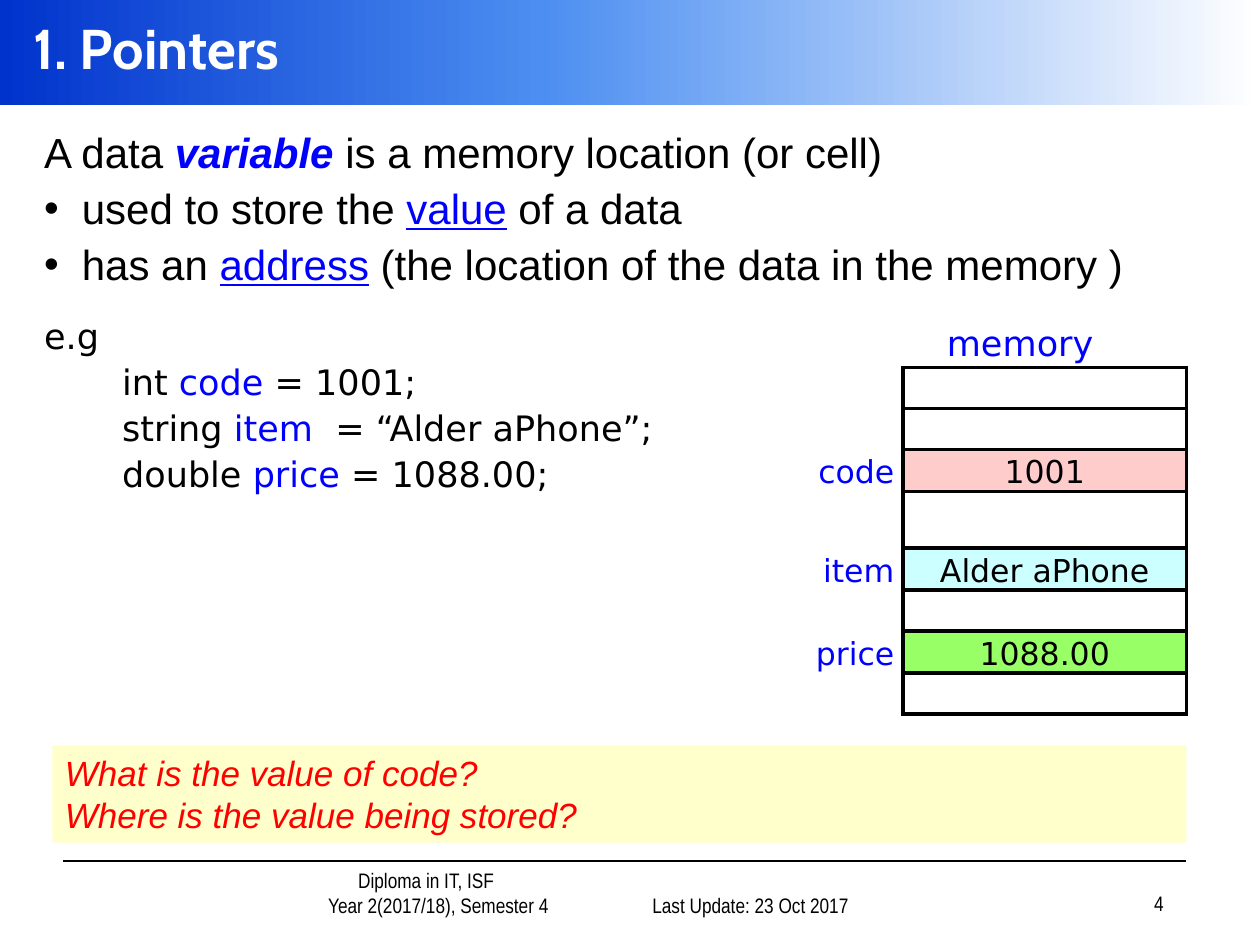
import copy

import pptx
import pptx.dml.color
import pptx.enum.shapes
import pptx.enum.text
import pptx.oxml
import pptx.oxml.ns
import pptx.util

Pt = pptx.util.Pt
ALIGN = pptx.enum.text.PP_ALIGN
ANCHOR = pptx.enum.text.MSO_ANCHOR
RECT = pptx.enum.shapes.MSO_SHAPE.RECTANGLE
BLACK, WHITE, BLUE, RED = "000000", "FFFFFF", "0000FF", "FF0000"
SANS, MONO_LABEL, NARROW = "Arial", "DejaVu Sans", "Arial Narrow"


def rgb(value):
    return pptx.dml.color.RGBColor.from_string(value)


def xml(tag, attrs="", inner=""):
    ns = pptx.oxml.ns.nsdecls("a")
    return pptx.oxml.parse_xml(f"<a:{tag} {ns} {attrs}>{inner}</a:{tag}>")


def add_text(p, text, font=SANS, size=20, color=BLACK, bold=False, italic=False,
             underline=False):
    r = p.add_run()
    r.text = text
    f = r.font
    f.name, f.size, f.color.rgb = font, Pt(size), rgb(color)
    f.bold, f.italic, f.underline = bold, italic, underline


def format_paragraph(p, align=ALIGN.LEFT, spacing=None, before=0, left=0, bullet=None):
    p.alignment, p.line_spacing, p.space_before = align, spacing, Pt(before)
    pPr = p._p.get_or_add_pPr()
    pPr.set("marL", str(Pt(left)))
    pPr.set("indent", str(-Pt(left) if bullet else 0))
    pPr.append(xml("buChar", f'char="{bullet}"') if bullet else xml("buNone"))


def new_paragraph(tf, first):
    return tf.paragraphs[0] if first else tf.add_paragraph()


def place(sp, left, top, width, height):
    sp.left, sp.top, sp.width, sp.height = Pt(left), Pt(top), Pt(width), Pt(height)


def fill_frame(tf, lines, anchor=ANCHOR.TOP, align=ALIGN.LEFT, lefts=None, **fmt):
    """Write one paragraph per line, all in the same format."""
    tf.word_wrap, tf.vertical_anchor = True, anchor
    for i, line in enumerate(lines):
        p = new_paragraph(tf, i == 0)
        format_paragraph(p, align, left=lefts[i] if lefts else 0)
        add_text(p, line, **fmt)


def add_box(s, box, lines, **fmt):
    sp = s.shapes.add_textbox(*map(Pt, box))
    fill_frame(sp.text_frame, lines, **fmt)


def add_rect(s, box):
    sp = s.shapes.add_shape(RECT, *map(Pt, box))
    sp.shadow.inherit = False
    sp.line.fill.background()
    return sp


def add_title_band(s):
    sp = add_rect(s, (0, 0, 720, 60))
    sp.fill.gradient()
    sp.fill.gradient_angle = 0
    stops = sp._element.spPr.find(".//" + pptx.oxml.ns.qn("a:gsLst"))
    stops.insert(1, copy.deepcopy(stops[0]))
    colors = [(0, "0033CC"), (0.43, "4C8EF1"), (1, WHITE)]
    for stop, (position, color) in zip(sp.fill.gradient_stops, colors):
        stop.position, stop.color.rgb = position, rgb(color)
    s.shapes._spTree.insert(2, sp._element)  # behind the title


def add_title(s, text):
    sp = s.shapes.title
    place(sp, 12, 0, 708, 54)
    fill_frame(sp.text_frame, [text], anchor=ANCHOR.MIDDLE, font="Cabin", size=32,
               color=WHITE, bold=True)
    sp.text_frame.auto_size = pptx.enum.text.MSO_AUTO_SIZE.NONE


def add_body(s):
    sp = s.placeholders[1]
    place(sp, 18, 72, 678, 408)
    tf = sp.text_frame
    tf.auto_size = pptx.enum.text.MSO_AUTO_SIZE.NONE
    point = {"before": 6, "left": 21.6, "bullet": "•"}
    code = {"before": 4.8, "left": 44.6}
    prose = {"size": 24}
    sample = {"font": MONO_LABEL}
    strong = {"bold": True, "italic": True}
    link = {"underline": True}
    rows = [
        ({"before": 6}, prose, strong,
         ("A data ", "variable", " is a memory location (or cell)")),
        (point, prose, link, ("used to store the ", "value", " of a data")),
        (point, prose, link,
         ("has an ", "address", " (the location of the data in the memory )")),
        ({"before": 17}, sample, {}, ("e.g",)),
        (code, sample, {}, ("int ", "code", " = 1001;")),
        (code, sample, {}, ("string ", "item", "  = “Alder aPhone”;")),
        (code, sample, {}, ("double ", "price", " = 1088.00;")),
    ]
    for i, (layout, base, key, parts) in enumerate(rows):
        p = new_paragraph(tf, i == 0)
        format_paragraph(p, spacing=0.9, **layout)
        for j, part in enumerate(parts):
            extra = {"color": BLUE, **key} if j == 1 else {}
            add_text(p, part, **base, **extra)


def set_borders(cell, sides):
    tcPr = cell._tc.get_or_add_tcPr()
    line = f'<a:solidFill><a:srgbClr val="{BLACK}"/></a:solidFill>'
    for i, side in enumerate(sides):
        tcPr.insert(i, xml("ln" + side, f'w="{Pt(2.25)}"', line))


def format_cell(cell, text, align, color, fill, sides):
    cell.margin_left = cell.margin_right = Pt(5)
    cell.margin_top = cell.margin_bottom = 0
    if fill:
        cell.fill.solid()
        cell.fill.fore_color.rgb = rgb(fill)
    else:
        cell.fill.background()
    set_borders(cell, sides)
    if text:
        p = cell.text_frame.paragraphs[0]
        p.alignment, p.line_spacing = align, 1.15
        add_text(p, text, font=MONO_LABEL, size=18, color=color)


def add_memory_table(s):
    cells = {2: ("code", "1001", "FFCCCC"),
             4: ("item", "Alder aPhone", "CCFFFF"),
             6: ("price", "1088.00", "99FF66")}
    table = s.shapes.add_table(8, 2, Pt(408), Pt(210), Pt(270), Pt(206)).table
    table.first_row = table.horz_banding = False
    table.columns[0].width, table.columns[1].width = Pt(108), Pt(162)
    for i, row in enumerate(table.rows):
        row.height = Pt(32.4 if i == 3 else 23.4)
        name, value, fill = cells.get(i, ("", "", None))
        format_cell(row.cells[0], name, ALIGN.RIGHT, BLUE, None, "R")
        format_cell(row.cells[1], value, ALIGN.CENTER, BLACK, fill, "LRTB")


def add_questions(s):
    sp = add_rect(s, (30, 426, 648, 55.6))
    sp.fill.solid()
    sp.fill.fore_color.rgb = rgb("FFFFCC")
    fill_frame(sp.text_frame,
               ["What is the value of code?", "Where is the value being stored?"],
               color=RED, italic=True)


def add_footer(s):
    line = s.shapes.add_connector(pptx.enum.shapes.MSO_CONNECTOR.STRAIGHT,
                                  Pt(36), Pt(492), Pt(678), Pt(492))
    line.line.color.rgb, line.line.width = rgb(BLACK), Pt(1)
    line._element.spPr.append(xml("effectLst"))
    small = {"font": NARROW, "size": 12, "anchor": ANCHOR.BOTTOM}
    add_box(s, (121, 498, 209, 30), ["Diploma in IT, ISF", "Year 2(2017/18), Semester 4"],
            align=ALIGN.CENTER, lefts=[36, 50], **small)
    add_box(s, (342, 498, 150, 30), ["Last Update: 23 Oct 2017"], align=ALIGN.RIGHT, **small)
    add_box(s, (522, 497, 150, 30), ["4"], align=ALIGN.RIGHT, **small)


def main():
    prs = pptx.Presentation()
    prs.slide_width, prs.slide_height = Pt(720), Pt(540)
    s = prs.slides.add_slide(prs.slide_layouts[1])
    add_title_band(s)
    add_title(s, "1. Pointers")
    add_body(s)
    add_memory_table(s)
    add_questions(s)
    add_box(s, (534, 180, 120, 32), ["memory"], font=MONO_LABEL, color=BLUE)
    add_footer(s)
    prs.save("out.pptx")


if __name__ == "__main__":
    main()
